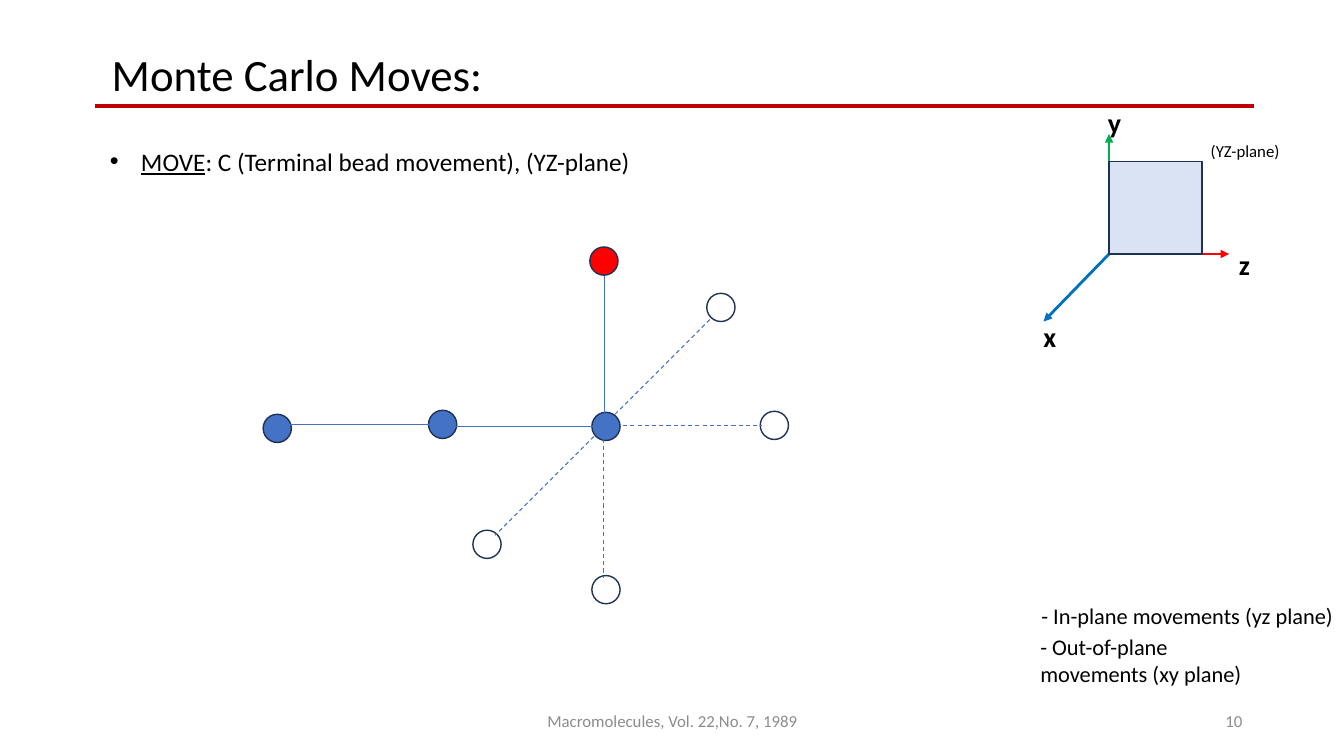
from lxml.etree import SubElement
from pptx import Presentation
from pptx.dml.color import RGBColor
from pptx.enum.dml import MSO_LINE
from pptx.enum.shapes import MSO_CONNECTOR, MSO_SHAPE
from pptx.enum.text import MSO_ANCHOR, PP_ALIGN
from pptx.oxml.ns import qn
from pptx.util import Inches, Pt

BLACK = RGBColor(0x00, 0x00, 0x00)
WHITE = RGBColor(0xFF, 0xFF, 0xFF)
GRAY = RGBColor(0x8C, 0x8C, 0x8C)
DARK_RED = RGBColor(0xC0, 0x00, 0x00)
RED = RGBColor(0xFF, 0x00, 0x00)
GREEN = RGBColor(0x00, 0xB0, 0x50)
AXIS_BLUE = RGBColor(0x00, 0x70, 0xC0)
BEAD_BLUE = RGBColor(0x44, 0x72, 0xC4)
PALE_BLUE = RGBColor(0xDA, 0xE3, 0xF3)
OUTLINE = RGBColor(0x1E, 0x32, 0x56)

presentation = Presentation()
presentation.slide_width = Inches(13.33)
presentation.slide_height = Inches(7.5)
slide = presentation.slides.add_slide(presentation.slide_layouts[6])


def add_line(start, end, color, width, dashed=False, arrow=False):
    line = slide.shapes.add_connector(
        MSO_CONNECTOR.STRAIGHT, *map(Inches, start + end))
    line.line.color.rgb = color
    line.line.width = Pt(width)
    if dashed:
        line.line.dash_style = MSO_LINE.DASH
    properties = line._element.spPr
    if arrow:
        SubElement(properties.find(qn("a:ln")), qn("a:tailEnd"), type="triangle")
    SubElement(properties, qn("a:effectLst"))


def add_text(box, text, size, color=BLACK, **paragraph_format):
    """Add a wrapped text box and return its paragraph."""
    frame = slide.shapes.add_textbox(*map(Inches, box)).text_frame
    frame.word_wrap = True
    paragraph = frame.paragraphs[0]
    for name, value in paragraph_format.items():
        setattr(paragraph, name, value)
    run = paragraph.add_run()
    run.text = text
    for name, value in {"name": "Calibri", "size": Pt(size)}.items():
        setattr(run.font, name, value)
    run.font.color.rgb = color
    return paragraph


# Title
add_line((0.94, 1.05), (12.44, 1.05), DARK_RED, 2.5)
add_text((1.01, 0.41, 6.62, 0.64), "Monte Carlo Moves:", 32)

# Axes and the YZ plane
origin = (11, 2.52)
axes = [
    ("x", (10.35, 3.19), AXIS_BLUE, (10.25, 3.12)),
    ("z", (12.19, 2.52), RED, (12.19, 2.41)),
    ("y", (11, 1.33), GREEN, (10.89, 1)),
]
for name, tip, color, label_corner in axes:
    add_line(origin, tip, color, 2, arrow=True)
    label = add_text(label_corner + (0.2, 0.24), name, 20)
    label.runs[0].font.bold = True

plane_side = 0.92
plane = (MSO_SHAPE.RECTANGLE, 11, 1.6, plane_side, PALE_BLUE)
add_text((11.91, 1.35, 1.19, 0.3), "(YZ-plane)", 12)

# Beads of the chain and the trial positions of its end
bead_size = 0.28
beads = [
    (2.61, 4.11, BEAD_BLUE),
    (4.25, 4.07, BEAD_BLUE),
    (5.87, 4.09, BEAD_BLUE),
    (5.85, 2.45, RED),
    (7.54, 4.08, WHITE),
    (5.87, 5.71, WHITE),
    (4.69, 5.26, WHITE),
    (7.01, 2.91, WHITE),
]
outlined_shapes = [plane] + [
    (MSO_SHAPE.OVAL, left, top, bead_size, fill) for left, top, fill in beads]
for kind, left, top, side, fill in outlined_shapes:
    shape = slide.shapes.add_shape(
        kind, Inches(left), Inches(top), Inches(side), Inches(side))
    shape.shadow.inherit = False
    shape.fill.solid()
    shape.fill.fore_color.rgb = fill
    shape.line.color.rgb = OUTLINE
    shape.line.width = Pt(1)

bonds = [
    ((2.88, 4.21), (4.26, 4.21)),
    ((4.51, 4.23), (5.89, 4.23)),
    ((5.99, 2.74), (5.99, 4.12)),
]
trial_bonds = [
    ((6.18, 4.22), (7.56, 4.22)),
    ((7.04, 3.17), (6.07, 4.14)),
    ((5.99, 4.35), (5.99, 5.73)),
    ((5.89, 4.33), (4.91, 5.31)),
]
for start, end in bonds:
    add_line(start, end, BEAD_BLUE, 0.5)
for start, end in trial_bonds:
    add_line(start, end, BEAD_BLUE, 0.75, dashed=True)

# Move description
move = add_text((0.99, 1.4, 7.29, 0.4), "MOVE", 18)
move_properties = move._p.get_or_add_pPr()
move_properties.set("marL", str(Inches(0.31)))
move_properties.set("indent", str(-Inches(0.31)))
SubElement(move_properties, qn("a:buFont"), typeface="Arial")
SubElement(move_properties, qn("a:buChar"), char="•")
move.runs[0].font.underline = True
description = move.add_run()
description.text = ": C (Terminal bead movement), (YZ-plane)"
for name, value in {"name": "Calibri", "size": Pt(18)}.items():
    setattr(description.font, name, value)
description.font.color.rgb = BLACK

# Legend and footer
add_text((10.23, 5.92, 3.27, 0.37), "- In-plane movements (yz plane)", 16)
add_text((10.22, 6.23, 2.5, 0.64), "- Out-of-plane movements (xy plane)", 16)
footers = [
    (4.42, 4.5, "Macromolecules, Vol. 22,No. 7, 1989", PP_ALIGN.CENTER),
    (9.42, 3, "10", PP_ALIGN.RIGHT),
]
for left, width, text, alignment in footers:
    add_text((left, 6.95, width, 0.4), text, 12, GRAY, alignment=alignment)
    slide.shapes[-1].text_frame.vertical_anchor = MSO_ANCHOR.MIDDLE

presentation.save("out.pptx")
